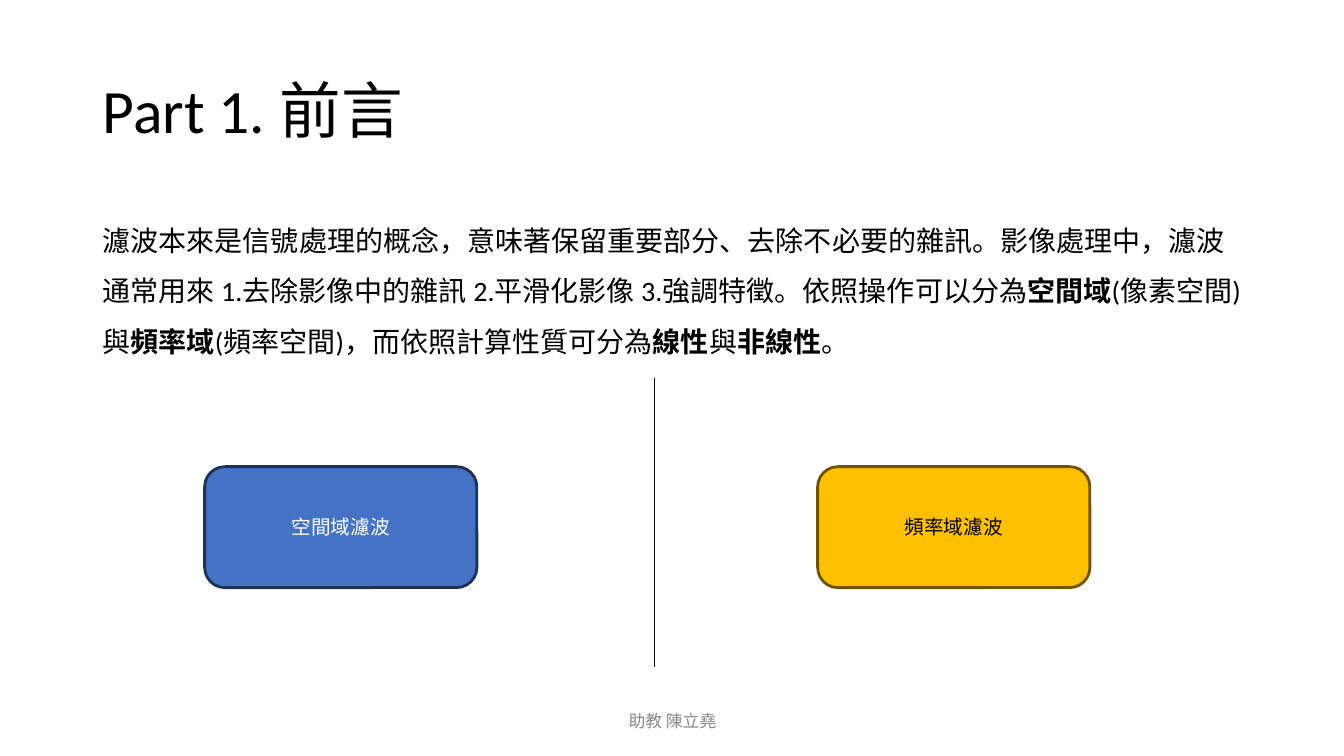
from lxml.etree import SubElement
from pptx import Presentation
from pptx.dml.color import RGBColor
from pptx.enum.shapes import MSO_CONNECTOR, MSO_SHAPE
from pptx.enum.text import MSO_ANCHOR, PP_ALIGN
from pptx.oxml.ns import qn
from pptx.util import Inches, Pt

WIDTH, HEIGHT = 13.33, 7.5
MARGIN = 0.92
CONTENT_WIDTH = WIDTH - 2 * MARGIN
BOX_LEFT, BOX_TOP, BOX_STEP = 2.03, 4.63, 6.08
BOX_WIDTH, BOX_HEIGHT = 2.7, 1.2

BLACK = RGBColor(0x00, 0x00, 0x00)
WHITE = RGBColor(0xFF, 0xFF, 0xFF)
GRAY = RGBColor(0x88, 0x88, 0x88)
BLUE = RGBColor(0x44, 0x72, 0xC4)
DARK_BLUE = RGBColor(0x1E, 0x32, 0x56)
GOLD = RGBColor(0xFF, 0xC0, 0x00)
DARK_GOLD = RGBColor(0x70, 0x54, 0x00)

INTRODUCTION = [
    ("濾波本來是信號處理的概念，意味著保留重要部分、去除不必要的雜訊。影像處理中，濾波"
     "通常用來 1.去除影像中的雜訊 2.平滑化影像 3.強調特徵。依照操作可以分為", False),
    ("空間域", True),
    ("(像素空間)與", False),
    ("頻率域", True),
    ("(頻率空間)，而依照計算性質可分為", False),
    ("線性", True),
    ("與", False),
    ("非線性", True),
    ("。", False),
]
FILTER_DOMAINS = [
    ("空間域濾波", BLUE, DARK_BLUE, WHITE),
    ("頻率域濾波", GOLD, DARK_GOLD, BLACK),
]


def write_text(shape, runs, size, color, anchor=MSO_ANCHOR.MIDDLE,
               alignment=PP_ALIGN.LEFT, line_spacing=1.0):
    """Fill a shape with one paragraph of (text, bold) runs."""
    frame = shape.text_frame
    frame.word_wrap = True
    frame.vertical_anchor = anchor
    paragraph = frame.paragraphs[0]
    paragraph.alignment = alignment
    paragraph.line_spacing = line_spacing
    paragraph.font.name = "Calibri"
    paragraph.font.size = Pt(size)
    paragraph.font.color.rgb = color
    for text, bold in runs:
        run = paragraph.add_run()
        run.text = text
        if bold:
            run.font.bold = True


def add_text(slide, left, top, width, height, runs, size, color, **layout):
    """Add a wrapped text box, measured in inches."""
    box = slide.shapes.add_textbox(
        Inches(left), Inches(top), Inches(width), Inches(height))
    write_text(box, runs, size, color, **layout)


def add_divider(slide, x, top, bottom):
    """Draw a thin vertical line between the two halves."""
    line = slide.shapes.add_connector(
        MSO_CONNECTOR.STRAIGHT, Inches(x), Inches(top), Inches(x), Inches(bottom))
    line.line.color.rgb = BLACK
    line.line.width = Pt(0.75)
    SubElement(line.element.spPr, qn("a:effectLst"))


def add_domain_box(slide, column, label, fill, outline, text_color):
    """Add the rounded box of one filter domain."""
    box = slide.shapes.add_shape(
        MSO_SHAPE.ROUNDED_RECTANGLE, Inches(BOX_LEFT + column * BOX_STEP),
        Inches(BOX_TOP), Inches(BOX_WIDTH), Inches(BOX_HEIGHT))
    box.shadow.inherit = False
    box.fill.solid()
    box.fill.fore_color.rgb = fill
    box.line.color.rgb = outline
    box.line.width = Pt(2)
    write_text(box, [(label, False)], 14, text_color, alignment=PP_ALIGN.CENTER)


def main():
    """Build and save the slide."""
    presentation = Presentation()
    presentation.slide_width = Inches(WIDTH)
    presentation.slide_height = Inches(HEIGHT)
    slide = presentation.slides.add_slide(presentation.slide_layouts[6])
    add_text(slide, MARGIN, 0.4, CONTENT_WIDTH, 1.45, [("Part 1. 前言", False)],
             44, BLACK, line_spacing=0.9)
    add_text(slide, MARGIN, 2, CONTENT_WIDTH, 4.76, INTRODUCTION,
             20, BLACK, anchor=MSO_ANCHOR.TOP, line_spacing=1.5)
    add_text(slide, 4.42, 6.95, 4.5, 0.4, [("助教 陳立堯", False)],
             12, GRAY, alignment=PP_ALIGN.CENTER)
    add_divider(slide, 6.49, 3.75, 6.62)
    for column, domain in enumerate(FILTER_DOMAINS):
        add_domain_box(slide, column, *domain)
    presentation.save("out.pptx")


if __name__ == "__main__":
    main()
